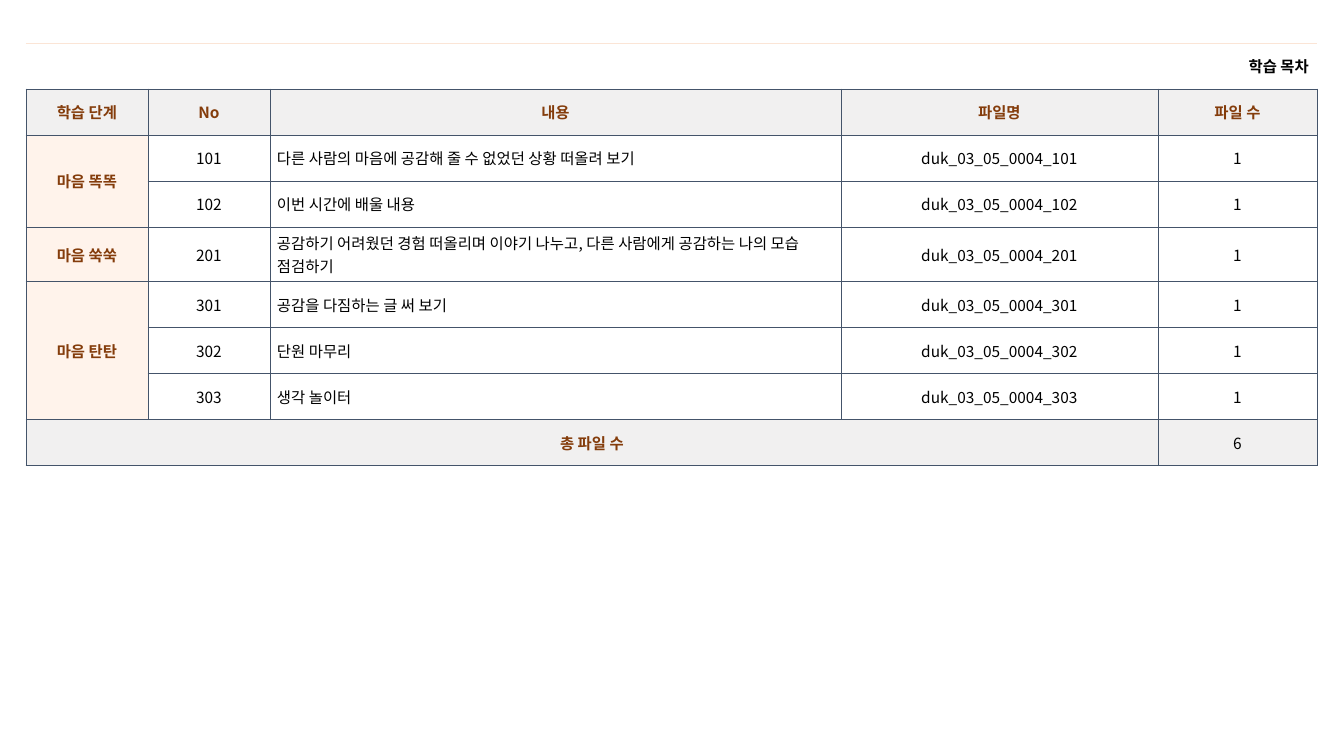
"""Build the lesson contents slide with its table of stages and files."""
from dataclasses import dataclass

from lxml import etree
from pptx import Presentation
from pptx.dml.color import RGBColor
from pptx.enum.text import MSO_ANCHOR, PP_ALIGN
from pptx.oxml.ns import qn
from pptx.table import Table, _Cell
from pptx.util import Emu, Pt

LEFT, CENTER, RIGHT = PP_ALIGN.LEFT, PP_ALIGN.CENTER, PP_ALIGN.RIGHT
MIDDLE = MSO_ANCHOR.MIDDLE
EMU_PER_PX = 914400 / 100.8


@dataclass(frozen=True)
class Theme:
    font: str = "Noto Sans CJK KR"
    size: int = 11
    text: str = "000000"
    accent: str = "843C0B"
    header_fill: str = "F1F0F0"
    stage_fill: str = "FFF3EB"
    body_fill: str = "FFFFFF"
    border: str = "44546A"
    border_width: float = 0.5
    top_rule: str = "FBE5D6"
    top_rule_width: float = 0.25


@dataclass(frozen=True)
class CellStyle:
    fill: str | None
    color: str
    bold: bool = False
    align: PP_ALIGN = CENTER
    side_inset: int = 7


@dataclass(frozen=True)
class Lesson:
    number: int
    content: str


@dataclass(frozen=True)
class Stage:
    name: str
    lessons: tuple[Lesson, ...]


THEME = Theme()
CAPTION = CellStyle(None, THEME.text, True, RIGHT, 8)
HEADER = CellStyle(THEME.header_fill, THEME.accent, True)
STAGE = CellStyle(THEME.stage_fill, THEME.accent, True)
BODY = CellStyle(THEME.body_fill, THEME.text)
CONTENT = CellStyle(THEME.body_fill, THEME.text, align=LEFT)
TOTAL = CellStyle(THEME.header_fill, THEME.text)

HEADINGS = ("학습 단계", "No", "내용", "파일명", "파일 수")
STAGES = (
    Stage("마음 똑똑", (
        Lesson(101, "다른 사람의 마음에 공감해 줄 수 없었던 상황 떠올려 보기"),
        Lesson(102, "이번 시간에 배울 내용"),
    )),
    Stage("마음 쑥쑥", (
        Lesson(201, "공감하기 어려웠던 경험 떠올리며 이야기 나누고, 다른 사람에게 공감하는 나의 모습 점검하기"),
    )),
    Stage("마음 탄탄", (
        Lesson(301, "공감을 다짐하는 글 써 보기"),
        Lesson(302, "단원 마무리"),
        Lesson(303, "생각 놀이터"),
    )),
)
COLUMN_WIDTHS = (122, 122, 571, 317, 159)
ROW_HEIGHTS = (46, 46, 46, 46, 54, 46, 46, 46, 46)
TABLE_LEFT, TABLE_TOP = 26, 43


def px(length: int) -> Emu:
    """Turn pixels into EMU."""
    return Emu(round(length * EMU_PER_PX))


def add_border(cell: _Cell, position: int, side: str, color: str | None, width: float) -> None:
    """Add one border line to a cell, with no colour meaning no line."""
    line = etree.Element(qn(f"a:ln{side}"), w=str(Pt(width)))
    if color is None:
        etree.SubElement(line, qn("a:noFill"))
    else:
        fill = etree.SubElement(line, qn("a:solidFill"))
        etree.SubElement(fill, qn("a:srgbClr"), val=color)
    cell._tc.get_or_add_tcPr().insert(position, line)


def format_borders(table: Table) -> None:
    """Rule the grid, leaving the caption row open at its sides."""
    for row_index, row in enumerate(table.rows):
        for cell in row.cells:
            for position, side in enumerate("LRTB"):
                color, width = THEME.border, THEME.border_width
                if row_index == 0 and side == "T":
                    color, width = THEME.top_rule, THEME.top_rule_width
                elif row_index == 0 and side != "B":
                    color = None
                add_border(cell, position, side, color, width)


def fill_cell(cell: _Cell, text: str, style: CellStyle) -> None:
    """Write and format the text of one cell."""
    cell.vertical_anchor = MIDDLE
    cell.margin_left = cell.margin_right = px(style.side_inset)
    cell.margin_top = cell.margin_bottom = px(5)
    if style.fill is None:
        cell.fill.background()
    else:
        cell.fill.solid()
        cell.fill.fore_color.rgb = RGBColor.from_string(style.fill)
    paragraph = cell.text_frame.paragraphs[0]
    paragraph.alignment = style.align
    run = paragraph.add_run()
    run.text = text
    font = run.font
    font.size = Pt(THEME.size)
    font.bold = style.bold
    font.color.rgb = RGBColor.from_string(style.color)
    font.name = THEME.font
    etree.SubElement(run._r.get_or_add_rPr(), qn("a:ea"), typeface=THEME.font)


def fill_stages(table: Table, first_row: int) -> int:
    """Write every stage with its lessons and return the next free row."""
    row = first_row
    for stage in STAGES:
        stage_cell = table.cell(row, 0)
        last_row = row + len(stage.lessons) - 1
        if last_row > row:
            stage_cell.merge(table.cell(last_row, 0))
        fill_cell(stage_cell, stage.name, STAGE)
        for lesson in stage.lessons:
            fill_cell(table.cell(row, 1), str(lesson.number), BODY)
            fill_cell(table.cell(row, 2), lesson.content, CONTENT)
            fill_cell(table.cell(row, 3), f"duk_03_05_0004_{lesson.number}", BODY)
            fill_cell(table.cell(row, 4), "1", BODY)
            row += 1
    return row


def main() -> None:
    """Create and save the presentation."""
    presentation = Presentation()
    presentation.slide_width, presentation.slide_height = px(1344), px(756)
    slide = presentation.slides.add_slide(presentation.slide_layouts[6])
    table = slide.shapes.add_table(
        len(ROW_HEIGHTS), len(COLUMN_WIDTHS), px(TABLE_LEFT), px(TABLE_TOP),
        px(sum(COLUMN_WIDTHS)), px(sum(ROW_HEIGHTS)),
    ).table
    table.first_row = table.horz_banding = False
    for column, width in zip(table.columns, COLUMN_WIDTHS):
        column.width = px(width)
    for row, height in zip(table.rows, ROW_HEIGHTS):
        row.height = px(height)

    caption = table.cell(0, 0)
    caption.merge(table.cell(0, 4))
    fill_cell(caption, "학습 목차", CAPTION)
    for column_index, heading in enumerate(HEADINGS):
        fill_cell(table.cell(1, column_index), heading, HEADER)
    total_row = fill_stages(table, 2)
    total = table.cell(total_row, 0)
    total.merge(table.cell(total_row, 3))
    fill_cell(total, "총 파일 수", HEADER)
    file_count = sum(len(stage.lessons) for stage in STAGES)
    fill_cell(table.cell(total_row, 4), str(file_count), TOTAL)
    format_borders(table)
    presentation.save("out.pptx")


if __name__ == "__main__":
    main()
